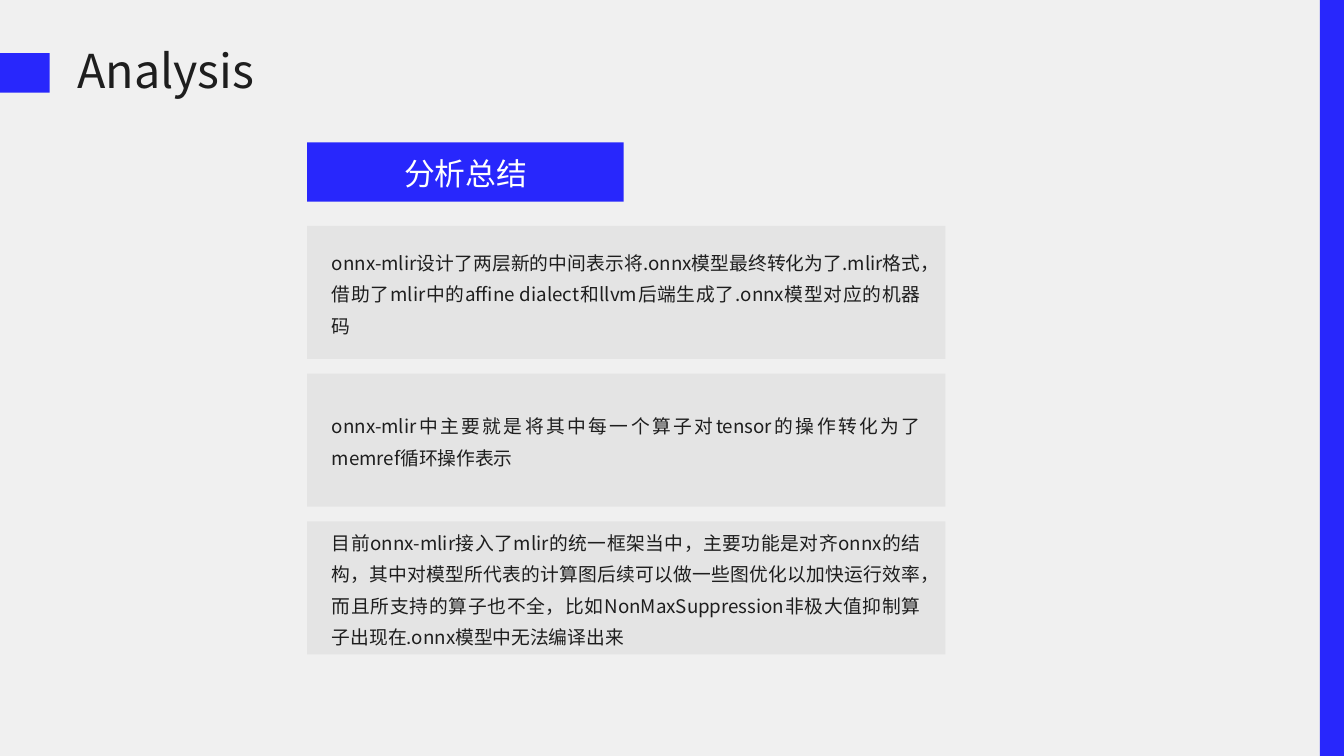
from dataclasses import dataclass

from lxml import etree
from pptx import Presentation
from pptx.dml.color import RGBColor
from pptx.enum.shapes import MSO_SHAPE
from pptx.enum.text import MSO_ANCHOR, MSO_AUTO_SIZE, PP_ALIGN
from pptx.oxml.ns import qn
from pptx.util import Inches, Pt

RECTANGLE = MSO_SHAPE.RECTANGLE
TOP = MSO_ANCHOR.TOP
NO_AUTOFIT = MSO_AUTO_SIZE.NONE
LEFT, CENTER, JUSTIFY = PP_ALIGN.LEFT, PP_ALIGN.CENTER, PP_ALIGN.JUSTIFY
TITLE_ONLY = 5


@dataclass(frozen=True)
class TextStyle:
    size: float
    spacing: float
    color: str
    align: PP_ALIGN
    font: str = "Noto Sans CJK SC"


@dataclass(frozen=True)
class Theme:
    background: str = "F0F0F0"
    accent: str = "2827FC"
    panel: str = "E4E4E4"
    east_asian: str = "Noto Sans CJK SC"
    title: TextStyle = TextStyle(50, 60, "1E1E1E", LEFT)
    heading: TextStyle = TextStyle(33, 51.5, "FFFFFF", CENTER, "Calibri")
    body: TextStyle = TextStyle(20.1, 33.7, "1E1E1E", JUSTIFY)


class SlideBuilder:
    def __init__(self, slide, theme):
        self.slide = slide
        self.theme = theme
        fill = slide.background.fill
        fill.solid()
        fill.fore_color.rgb = RGBColor.from_string(theme.background)

    def block(self, left, top, width, height, color):
        block = self.slide.shapes.add_shape(
            RECTANGLE, Inches(left), Inches(top), Inches(width), Inches(height))
        block.shadow.inherit = False
        block.fill.solid()
        block.fill.fore_color.rgb = RGBColor.from_string(color)
        block.line.fill.background()

    def title(self, left, top, width, height, text):
        title = self.slide.shapes.title
        title.left, title.top = Inches(left), Inches(top)
        title.width, title.height = Inches(width), Inches(height)
        self.fill_text(title.text_frame, text, self.theme.title)

    def text(self, left, top, width, height, text, style):
        box = self.slide.shapes.add_textbox(
            Inches(left), Inches(top), Inches(width), Inches(height))
        self.fill_text(box.text_frame, text, style)

    def fill_text(self, frame, text, style):
        frame.word_wrap = True
        frame.auto_size = NO_AUTOFIT
        frame.vertical_anchor = TOP
        frame.margin_left = frame.margin_right = 0
        frame.margin_top = frame.margin_bottom = 0
        paragraph = frame.paragraphs[0]
        paragraph.alignment = style.align
        paragraph.line_spacing = Pt(style.spacing)
        run = paragraph.add_run()
        run.text = text
        run.font.size = Pt(style.size)
        run.font.name = style.font
        run.font.color.rgb = RGBColor.from_string(style.color)
        east_asian = etree.SubElement(run.font._element, qn("a:ea"))
        east_asian.set("typeface", self.theme.east_asian)


FINDINGS = [
    (3, "onnx-mlir设计了两层新的中间表示将.onnx模型最终转化为了.mlir格式，"
        "借助了mlir中的affine dialect和llvm后端生成了.onnx模型对应的机器码"),
    (2, "onnx-mlir中主要就是将其中每一个算子对tensor的操作转化为了memref循环操作表示"),
    (4, "目前onnx-mlir接入了mlir的统一框架当中，主要功能是对齐onnx的结构，"
        "其中对模型所代表的计算图后续可以做一些图优化以加快运行效率，而且所支持的算子也不全，"
        "比如NonMaxSuppression非极大值抑制算子出现在.onnx模型中无法编译出来"),
]
PANEL_LEFT, PANEL_TOP, PANEL_WIDTH, PANEL_HEIGHT = 4.57, 3.36, 9.5, 1.98
PANEL_PITCH = 2.2
PANEL_PADDING = 0.37
LINE_HEIGHT = 0.46
TEXT_LIFT = 0.05


def main():
    deck = Presentation()
    deck.slide_width, deck.slide_height = Inches(20), Inches(11.25)
    theme = Theme()
    analysis = SlideBuilder(
        deck.slides.add_slide(deck.slide_layouts[TITLE_ONLY]), theme)

    analysis.block(19.64, 0, 0.36, 11.25, theme.accent)
    analysis.block(0, 0.79, 0.74, 0.59, theme.accent)
    analysis.title(1.15, 0.63, 6.85, 0.82, "Analysis")

    analysis.block(PANEL_LEFT, 2.12, 4.71, 0.88, theme.accent)
    analysis.text(4.69, 2.13, 4.48, 0.67, "分析总结", theme.heading)

    for index, (lines, finding) in enumerate(FINDINGS):
        panel_top = PANEL_TOP + index * PANEL_PITCH
        text_height = lines * LINE_HEIGHT
        text_top = panel_top + (PANEL_HEIGHT - text_height) / 2 - TEXT_LIFT
        analysis.block(PANEL_LEFT, panel_top, PANEL_WIDTH, PANEL_HEIGHT, theme.panel)
        analysis.text(PANEL_LEFT + PANEL_PADDING, text_top,
                      PANEL_WIDTH - 2 * PANEL_PADDING, text_height,
                      finding, theme.body)

    deck.save("out.pptx")


if __name__ == "__main__":
    main()
